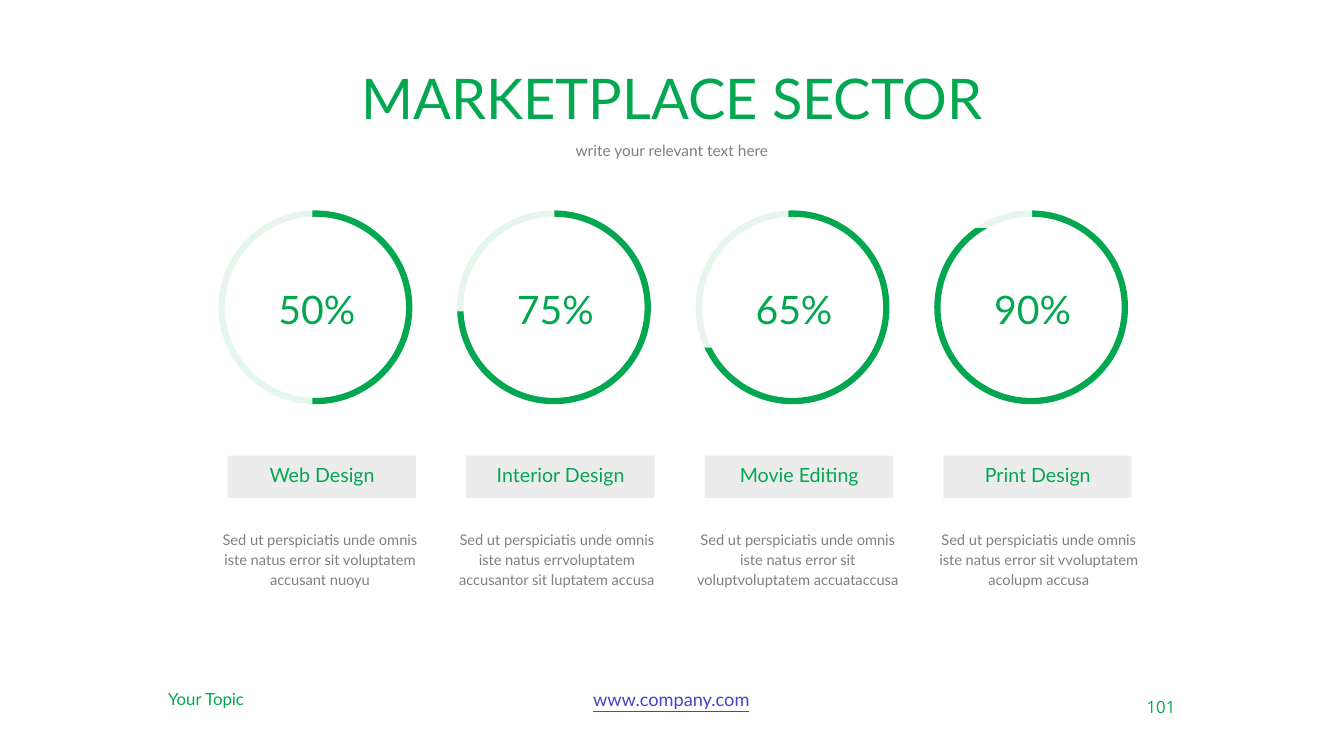
import pptx
import pptx.util
import pptx.dml.color
import pptx.enum.shapes
import pptx.enum.text

Pt = pptx.util.Pt
RGB = pptx.dml.color.RGBColor.from_string
Align = pptx.enum.text.PP_ALIGN
Anchor = pptx.enum.text.MSO_ANCHOR
Kind = pptx.enum.shapes.MSO_SHAPE

theme = {
    "green": RGB("03A750"), "gray": RGB("808080"), "link": RGB("4646C5"),
    "label": RGB("ECECEC"), "white": RGB("FFFFFF"),
    "title": 40, "value": 28, "head": 14, "web": 13, "foot": 12,
    "sub": 11, "body": 10.5,
}

deck = pptx.Presentation()
deck.slide_width, deck.slide_height = Pt(960), Pt(540)
slide = deck.slides.add_slide(deck.slide_layouts[0])
shapes = slide.shapes


def write(box, text, at, size, color="green", align=Align.CENTER,
          anchor=Anchor.TOP, inset=(7.2, 3.6), space=None, before=0, font="Lato"):
    box.left, box.top, box.width, box.height = map(Pt, at)
    frame = box.text_frame
    frame.text = text
    frame.word_wrap = True
    frame.auto_size = pptx.enum.text.MSO_AUTO_SIZE.NONE
    frame.vertical_anchor = anchor
    frame.margin_left = frame.margin_right = Pt(inset[0])
    frame.margin_top = frame.margin_bottom = Pt(inset[1])
    para = frame.paragraphs[0]
    para.alignment = align
    para.line_spacing = space
    para.space_before = Pt(before)
    run = para.runs[0]
    run.font.name = font
    run.font.size = Pt(theme[size])
    run.font.color.rgb = theme[color]
    return run


def draw(kind, at, fill=None):
    shape = shapes.add_shape(kind, *map(Pt, at))
    shape.shadow.inherit = False
    if fill:
        shape.fill.solid()
        shape.fill.fore_color.rgb = theme[fill]
        shape.line.fill.background()
    else:
        shape.fill.background()
        shape.line.color.rgb = theme["green"]
        shape.line.width = Pt(4.5)
    return shape


def_box = (0, 0, Pt(72), Pt(22))
write(shapes.title, "MARKETPLACE SECTOR", (120, 34.5, 720, 62.5), "title",
      anchor=Anchor.BOTTOM, space=Pt(43))
write(slide.placeholders[1], "write your relevant text here", (120, 98.5, 720, 25),
      "sub", "gray", space=0.9, before=10)

sectors = [
    ("50%", "Web Design", (145.4, 77.8, 141.1), 154.8,
     "Sed ut perspiciatis unde omnis iste natus error sit voluptatem accusant nuoyu"),
    ("75%", "Interior Design", (314.6, 81.4, 74.9), 324,
     "Sed ut perspiciatis unde omnis iste natus errvoluptatem accusantor sit luptatem accusa"),
    ("65%", "Movie Editing", (488.2, 74.9, 100.8), 496.1,
     "Sed ut perspiciatis unde omnis iste natus error sit voluptvoluptatem accuataccusa"),
    ("90%", "Print Design", (668.9, 68.4, 15.1), 668.2,
     "Sed ut perspiciatis unde omnis iste natus error sit vvoluptatem acolupm accusa"),
]
for i, (value, head, veil, left, body) in enumerate(sectors):
    x = 158.4 + 170.4 * i
    draw(Kind.OVAL, (x, 152.6, 133.9, 133.9))
    draw(Kind.RECTANGLE, (x + 4.2, 325.4, 134.6, 30.2), "label")
    mask = draw(Kind.RECTANGLE, (veil[0], 147.6, veil[1], veil[2]), "white")
    tint = mask.fill._xPr.find(".//" + pptx.oxml.ns.qn("a:srgbClr"))
    pptx.oxml.SubElement(tint, "a:alpha").set("val", "90000") if hasattr(
        pptx.oxml, "SubElement") else tint.append(pptx.oxml.parse_xml(
            '<a:alpha xmlns:a="http://schemas.openxmlformats.org/drawingml/2006/main" val="90000"/>'))
    for text, at, size, color, anchor, space in (
        (value, (x + 19.3, 190.8, 97.2, 63.4), "value", "green", Anchor.MIDDLE, 0.9),
        (body, (left, 378, 147.6, 67), "body", "gray", Anchor.TOP, Pt(14)),
        (head, (x + 5.5, 329, 132.5, 22.3), "head", "green", Anchor.MIDDLE, 0.9),
    ):
        write(shapes.add_textbox(*def_box), text, at, size, color,
              anchor=anchor, inset=(0, 0), space=space, before=10)

write(shapes.add_textbox(*def_box), "Your Topic", (113, 488.2, 149.8, 21.8),
      "foot", align=Align.LEFT)
web = write(shapes.add_textbox(*def_box), "www.company.com",
            (404.6, 488.2, 149.8, 23), "web", "link")
web.font.underline = True
write(shapes.add_textbox(*def_box), "101", (803.5, 494, 43.2, 21.6), "foot",
      align=Align.RIGHT, anchor=Anchor.MIDDLE, font="Open Sans")

deck.save("out.pptx")
